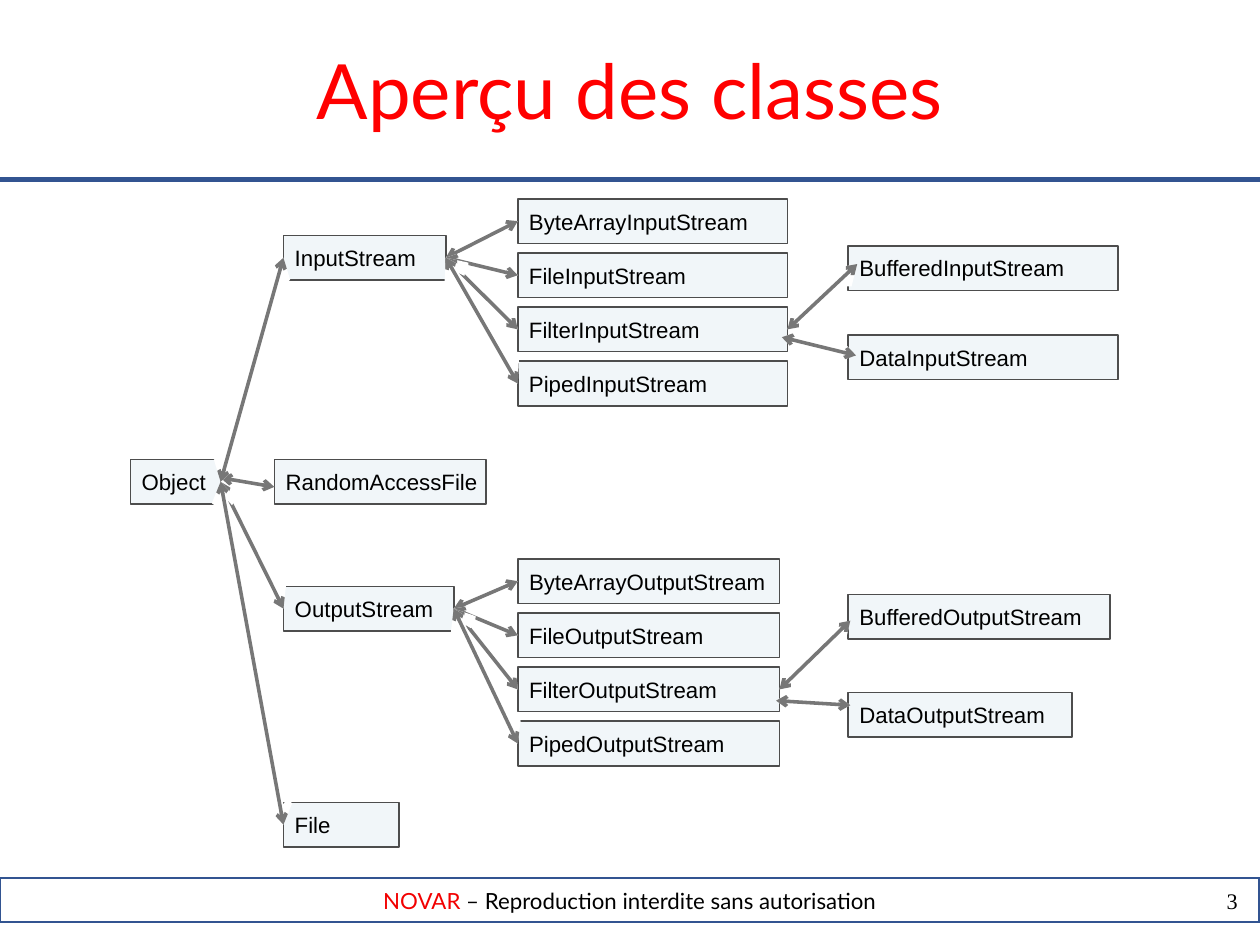
from lxml import etree
from pptx import Presentation
from pptx.dml.color import RGBColor
from pptx.enum import shapes, text
from pptx.oxml import ns
from pptx.util import Cm, Inches, Pt

RED = RGBColor(0xFF, 0, 0)
BRAND = RGBColor(0xF2, 0, 0)
BLACK = RGBColor(0, 0, 0)
WHITE = RGBColor(0xFF, 0xFF, 0xFF)
NAVY = RGBColor(0x32, 0x54, 0x91)
PALE = RGBColor(0xA5, 0xC3, 0xDB)
EDGE = RGBColor(0x4D, 0x4D, 0x4D)
GREY = RGBColor(0x77, 0x77, 0x77)

WIDE = 11.02
HIGH, SPAN = 0.39, 1.42
KINDS = ["ByteArray", "File", "Filter", "Piped"]
PITCH = SPAN / (len(KINDS) - 1)
STACKS = [("InputStream", 1.74, 2.36), ("OutputStream", 4.89, 2.29)]
BOXES = [
    ("Object", 1.14, 4.02, 0.79),
    ("InputStream", 2.48, 2.06, 1.42),
    ("RandomAccessFile", 2.4, 4.02, 1.85),
    ("OutputStream", 2.48, 5.13, 1.49),
    ("File", 2.48, 7.02, 1.01),
    ("BufferedInputStream", 7.42, 2.15, 2.36),
    ("DataInputStream", 7.42, 2.93, 2.36),
    ("BufferedOutputStream", 7.42, 5.2, 2.29),
    ("DataOutputStream", 7.42, 6.06, 1.96),
]
BOXES += [(kind + base, 4.53, top + row * PITCH, wide)
          for base, top, wide in STACKS for row, kind in enumerate(KINDS)]
LINKS = [(base, kind + base) for base, _, _ in STACKS for kind in KINDS]
LINKS += [("Object", name) for name in ("InputStream", "OutputStream", "File")]
LOOSE = [
    ("FilterInputStream", (6.89, 2.84), (7.5, 2.31)),
    (None, (6.84, 2.95), (7.49, 3.11)),
    ("FilterOutputStream", (6.82, 6.07), (7.44, 5.43)),
    (None, (6.79, 6.13), (7.44, 6.17)),
    (None, (1.93, 4.18), (2.4, 4.26)),
]


def write(para, words, font, size, color):
    run = para.add_run()
    run.text = words
    run.font.name = font
    run.font.size = Pt(size)
    run.font.color.rgb = color


def pad(frame, left, top, right, bottom):
    frame.margin_left, frame.margin_top = Inches(left), Inches(top)
    frame.margin_right, frame.margin_bottom = Inches(right), Inches(bottom)
    frame.word_wrap = True


def add_box(slide, left, top, wide, high, edge, width):
    box = slide.shapes.add_shape(shapes.MSO_SHAPE.RECTANGLE, Inches(left),
                                 Inches(top), Inches(wide), Inches(high))
    box.shadow.inherit = False
    box.fill.background()
    box.line.color.rgb = edge
    box.line.width = Pt(width)
    box.text_frame.vertical_anchor = text.MSO_ANCHOR.MIDDLE
    return box


def add_class(slide, name, left, top, wide):
    box = add_box(slide, left, top, wide, HIGH, EDGE, 1)
    box.fill.solid()
    box.fill.fore_color.rgb = PALE
    tint = box._element.spPr.find("./a:solidFill/a:srgbClr", ns.nsmap)\
        if hasattr(ns, "nsmap") and isinstance(ns.nsmap, dict)\
        else box._element.spPr.find(".//" + ns.qn("a:srgbClr"))
    etree.SubElement(tint, ns.qn("a:alpha"), val="15000")
    pad(box.text_frame, 0.1, 0.05, 0, 0.05)
    para = box.text_frame.paragraphs[0]
    para.alignment = text.PP_ALIGN.LEFT
    write(para, name, "Arial", 14, BLACK)
    return box


def add_line(slide, start, end, color, width):
    line = slide.shapes.add_connector(
        shapes.MSO_CONNECTOR.STRAIGHT, *map(Inches, start + end))
    line.line.color.rgb = color
    line.line.width = Pt(width)
    etree.SubElement(line._element.spPr, ns.qn("a:effectLst"))
    return line


def add_arrow(slide, start, end, source=None, target=None):
    for color, width in ((WHITE, 4.5), (GREY, 2.25)):
        line = add_line(slide, start, end, color, width)
        for tip in ("a:headEnd", "a:tailEnd"):
            etree.SubElement(line.line._get_or_add_ln(), ns.qn(tip),
                             type="arrow")
        if source:
            line.begin_connect(source, 3)
        if target:
            line.end_connect(target, 1)


def main():
    """Build the overview slide of the Java stream classes."""
    deck = Presentation()
    deck.slide_width = Cm(28)
    deck.slide_height = Cm(21)
    slide = deck.slides.add_slide(deck.slide_layouts[5])

    bar = add_box(slide, 0, 7.68, WIDE, HIGH, NAVY, 1.42)
    pad(bar.text_frame, 0.01, 0.01, 0.01, 0.01)
    para = bar.text_frame.paragraphs[0]
    para.alignment = text.PP_ALIGN.CENTER
    write(para, "NOVAR", "Lato", 14, BRAND)
    write(para, " – Reproduction interdite sans autorisation", "Lato", 14,
          BLACK)
    add_line(slide, (0, 1.57), (WIDE, 1.57), NAVY, 2.83)

    page = slide.shapes.add_textbox(Inches(8.26), Inches(7.76),
                                    Inches(2.57), Inches(0.42))
    pad(page.text_frame, 0, 0, 0, 0)
    para = page.text_frame.paragraphs[0]
    para.alignment = text.PP_ALIGN.RIGHT
    write(para, "3", "Times New Roman", 14, BLACK)

    title = slide.shapes.title
    title.left, title.top = Inches(0.59), Inches(0.33)
    title.width, title.height = Inches(9.84), Inches(0.87)
    pad(title.text_frame, 0.1, 0.05, 0.1, 0.05)
    title.text_frame.auto_size = text.MSO_AUTO_SIZE.NONE
    title.text_frame.vertical_anchor = text.MSO_ANCHOR.TOP
    para = title.text_frame.paragraphs[0]
    para.alignment = text.PP_ALIGN.CENTER
    write(para, "Aperçu des classes", "Lato", 48, RED)

    nodes = {box[0]: add_class(slide, *box) for box in BOXES}
    for source, start, end in LOOSE:
        add_arrow(slide, start, end, nodes.get(source))
    for source, target in LINKS:
        add_arrow(slide, (0, 0), (1, 1), nodes[source], nodes[target])

    deck.save("out.pptx")


if __name__ == "__main__":
    main()
